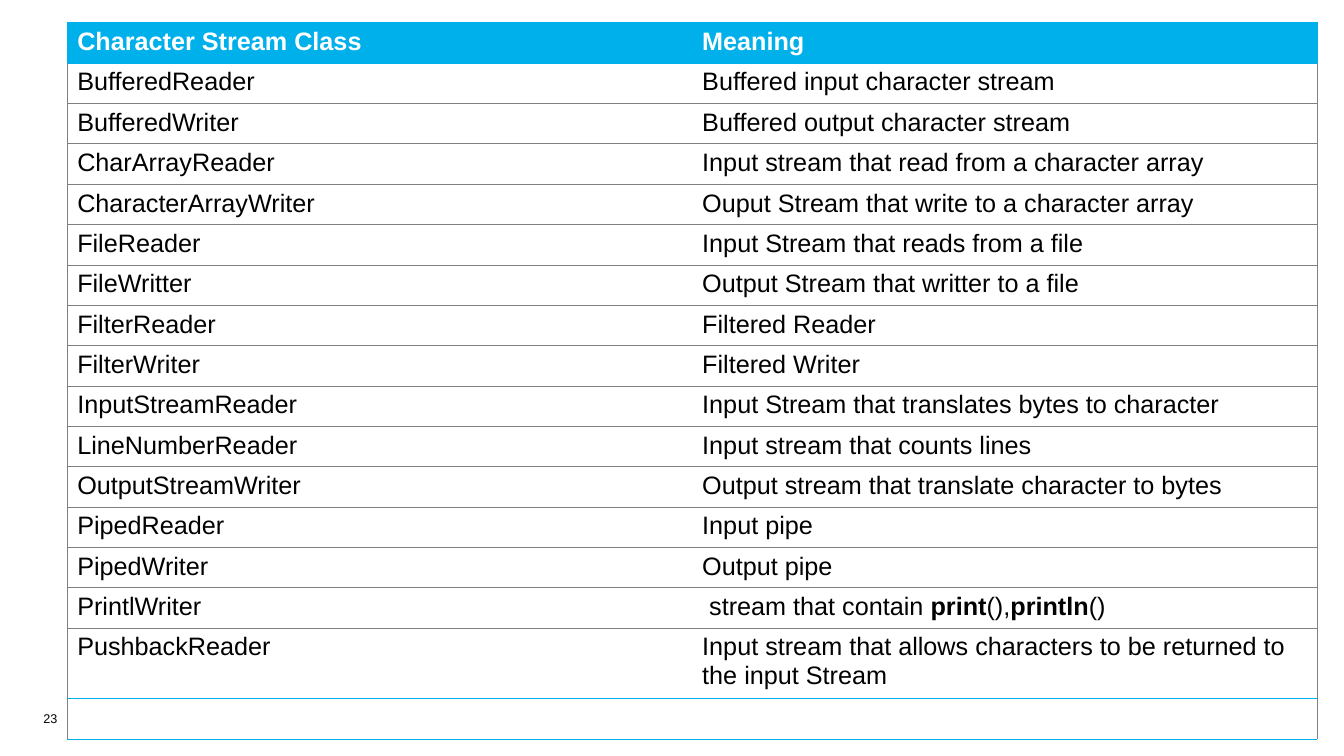
import pptx
import pptx.dml.color
import pptx.enum.text
import pptx.oxml
import pptx.oxml.ns
import pptx.util
from dataclasses import dataclass


@dataclass(frozen=True)
class Theme:
    font: str = "Arial"
    body_size: float = 18
    number_size: float = 9
    accent: str = "00B0EA"
    rule: str = "808080"
    ink: str = "000000"
    paper: str = "FFFFFF"
    rule_width: float = 0.5


HEADINGS = ("Character Stream Class", "Meaning")
STREAM_CLASSES = [
    ("BufferedReader", "Buffered input character stream"),
    ("BufferedWriter", "Buffered output character stream"),
    ("CharArrayReader", "Input stream that read from a character array"),
    ("CharacterArrayWriter", "Ouput Stream that write to a character array"),
    ("FileReader", "Input Stream that reads from a file"),
    ("FileWritter", "Output Stream that writter to a file"),
    ("FilterReader", "Filtered Reader"),
    ("FilterWriter", "Filtered Writer"),
    ("InputStreamReader", "Input Stream that translates bytes to character"),
    ("LineNumberReader", "Input stream that counts lines"),
    ("OutputStreamWriter", "Output stream that translate character to bytes"),
    ("PipedReader", "Input pipe"),
    ("PipedWriter", "Output pipe"),
    ("PrintlWriter", " stream that contain **print**(),**println**()"),
    ("PushbackReader",
     "Input stream that allows characters to be returned to the input Stream"),
    ("", ""),
]


class SlideBuilder:
    def __init__(self, deck, theme):
        self.deck = deck
        self.theme = theme
        self.slide = deck.slides.add_slide(deck.slide_layouts[6])

    def place(self, left, top, width, height):
        """Turn shares of the slide's size into lengths."""
        across, down = self.deck.slide_width, self.deck.slide_height
        return (round(left * across), round(top * down),
                round(width * across), round(height * down))

    def style(self, font, size, color, bold=False):
        font.name = self.theme.font
        font.size = pptx.util.Pt(size)
        font.bold = bold
        font.color.rgb = pptx.dml.color.RGBColor.from_string(color)

    def add_text(self, paragraph, text, size, color, bold=False):
        """Fill a paragraph; parts between double asterisks become bold."""
        if not text:
            self.style(paragraph.font, size, color, bold)
        for index, part in enumerate(text.split("**") if text else ()):
            run = paragraph.add_run()
            run.text = part
            self.style(run.font, size, color, bold or index % 2 == 1)

    def border(self, cell, **colors):
        """Draw the sides L, R, T and B; a side without a colour is hidden."""
        properties = cell._tc.get_or_add_tcPr()
        width = pptx.util.Pt(self.theme.rule_width)
        for index, side in enumerate("LRTB"):
            color = colors.get(side)
            fill = (f'<a:solidFill><a:srgbClr val="{color}"/></a:solidFill>'
                    if color else "<a:noFill/>")
            properties.insert(index, pptx.oxml.parse_xml(
                f'<a:ln{side} {pptx.oxml.ns.nsdecls("a")} w="{width}">{fill}</a:ln{side}>'))

    def table(self, box, rows):
        theme = self.theme
        left, top, width, height = self.place(*box)
        last, end = len(rows) - 1, len(rows[0]) - 1
        grid = self.slide.shapes.add_table(
            len(rows), len(rows[0]), left, top, width, height).table
        grid.horz_banding = False
        edges = [theme.accent] * 2 + [theme.rule] * (last - 2) + [theme.accent] * 2
        for r, texts in enumerate(rows):
            header = r == 0
            side = theme.accent if header else theme.rule
            for c, text in enumerate(texts):
                cell = grid.cell(r, c)
                cell.fill.solid()
                cell.fill.fore_color.rgb = pptx.dml.color.RGBColor.from_string(
                    theme.accent if header else theme.paper)
                self.border(cell, T=edges[r], B=edges[r + 1],
                            L=side if c == 0 else None,
                            R=side if c == end else None)
                self.add_text(cell.text_frame.paragraphs[0], text, theme.body_size,
                              theme.paper if header else theme.ink, header)

    def page_number(self, box, number):
        frame = self.slide.shapes.add_textbox(*self.place(*box)).text_frame
        frame.word_wrap = True
        frame.vertical_anchor = pptx.enum.text.MSO_ANCHOR.MIDDLE
        paragraph = frame.paragraphs[0]
        paragraph.alignment = pptx.enum.text.PP_ALIGN.RIGHT
        self.add_text(paragraph, number, self.theme.number_size, self.theme.ink)


def main():
    deck = pptx.Presentation()
    deck.slide_width = pptx.util.Inches(13.33)
    deck.slide_height = pptx.util.Inches(7.5)
    builder = SlideBuilder(deck, Theme())
    builder.page_number((0.01, 0.93, 0.04, 0.04), "23")
    builder.table((0.05, 0.03, 0.93, 0.9), [HEADINGS, *STREAM_CLASSES])
    deck.save("out.pptx")


if __name__ == "__main__":
    main()
